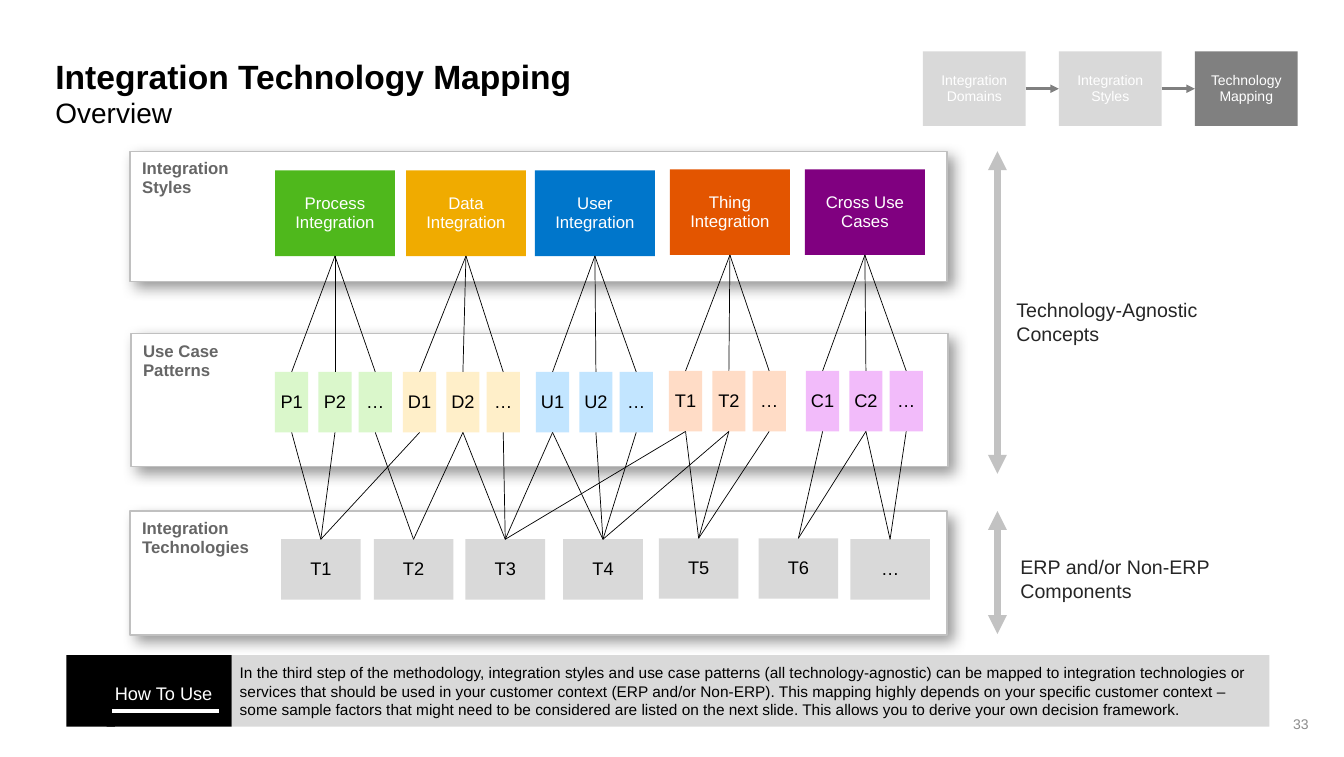
from pptx import Presentation as Deck
from pptx.dml.color import RGBColor as Color
from pptx.enum.shapes import MSO_CONNECTOR as Wire, MSO_SHAPE as Form
from pptx.enum.text import MSO_ANCHOR as Anchor, PP_ALIGN as Align
from pptx.oxml import parse_xml as to_xml
from pptx.oxml.ns import nsdecls, qn
from pptx.util import Pt
from copy import deepcopy as clone

PX = 9144
TOP, LEFT, BOTTOM, RIGHT = range(4)
MID = {"vertical_anchor": Anchor.MIDDLE}
HIGH = {"vertical_anchor": Anchor.TOP}
TIGHT = {"alignment": Align.CENTER, "line_spacing": 0.95}
FLUSH = {"alignment": Align.LEFT}
GREY, BLACK, WHITE = "D9D9D9", "000000", "FFFFFF"

PANELS = [
    (129, 507, 123, "Integration\nTechnologies"),
    (130, 331, 132, "Use Case\nPatterns"),
    (129, 150, 129, "Integration\nStyles"),
]
STYLES = [
    (273, 169, "Process\nIntegration", "4FB81C", 273, "P", "DAF7CB"),
    (403, 169, "Data\nIntegration", "F0AB00", 400, "D", "FFEFC9"),
    (531, 169, "User\nIntegration", "0076CB", 532, "U", "C2E5FF"),
    (665, 168, "Thing\nIntegration", "E35500", 664, "T", "FFDCC6"),
    (799, 168, "Cross Use Cases", "800080", 800, "C", "F2BBFA"),
]
TECHS = [
    (279, 535, "T1", [0, 1, 3]),
    (371, 535, "T2", [2, 4]),
    (462, 535, "T3", [4, 5, 6, 9]),
    (559, 535, "T4", [6, 7, 8, 10]),
    (654, 534, "T5", [9, 10, 11]),
    (753, 534, "T6", [12, 13]),
    (844, 535, "…", [13, 14]),
]
STEPS = [
    ("Integration Domains", GREY),
    ("Integration Styles", GREY),
    ("Technology Mapping", "808080"),
]
USAGE = (
    "In the third step of the methodology, integration styles and use case patterns "
    "(all technology-agnostic) can be mapped to integration technologies or services "
    "that should be used in your customer context (ERP and/or Non-ERP). This mapping "
    "highly depends on your specific customer context – some sample factors that might "
    "need to be considered are listed on the next slide. This allows you to derive your "
    "own decision framework."
)


def ink(code):
    return Color.from_string(code)


def apply(target, values):
    for name, value in values.items():
        setattr(target, name, value)


def fit(frame, pads, look):
    sides = ("margin_left", "margin_top", "margin_right", "margin_bottom")
    apply(frame, {side: pad * PX for side, pad in zip(sides, pads)})
    apply(frame, {"word_wrap": True, **look})


def write(para, text, size, color, look, bold=False):
    para.text = text
    apply(para, look)
    for run in para.runs:
        apply(run.font, {"name": "Arial", "size": Pt(size), "bold": bold})
        run.font.color.rgb = ink(color)
    for gap in para._p.findall(qn("a:br")):
        gap.append(clone(para.runs[0]._r.rPr))


def block(slide, area, fill):
    shape = slide.shapes.add_shape(Form.RECTANGLE, *(n * PX for n in area))
    shape.shadow.inherit = False
    shape.fill.solid()
    shape.fill.fore_color.rgb = ink(fill)
    shape.line.fill.background()
    return shape


def tile(slide, area, fill, text, size, color):
    shape = block(slide, area, fill)
    fit(shape.text_frame, (0, 0, 0, 0), MID)
    write(shape.text_frame.paragraphs[0], text, size, color, TIGHT)
    return shape


def panel(slide, left, top, high, text):
    shape = block(slide, (left, top, 811, high), WHITE)
    shape.line.color.rgb = ink("C0C0C0")
    shape.line.width = Pt(1)
    glow = to_xml(
        f'<a:outerShdw {nsdecls("a")} blurRad="{Pt(10)}" dist="{Pt(5)}" '
        'dir="2700000" algn="tl" rotWithShape="0"><a:srgbClr val="000000">'
        '<a:alpha val="40000"/></a:srgbClr></a:outerShdw>'
    )
    shape._element.spPr.find(qn("a:effectLst")).append(glow)
    fit(shape.text_frame, (12, 8, 0, 0), HIGH)
    look = {**TIGHT, "alignment": Align.LEFT}
    write(shape.text_frame.paragraphs[0], text, 12, "666666", look, True)


def label(slide, area, pads, look):
    frame = slide.shapes.add_textbox(*(n * PX for n in area)).text_frame
    fit(frame, pads, look)
    return frame


def line(slide, ends, color, width, tips=()):
    wire = slide.shapes.add_connector(Wire.STRAIGHT, *(n * PX for n in ends))
    wire.line.color.rgb = ink(color)
    wire.line.width = Pt(width)
    for tip in tips:
        wire.line._get_or_add_ln().append(
            to_xml(f'<a:{tip} {nsdecls("a")} type="triangle"/>')
        )
    wire._element.spPr.append(to_xml(f'<a:effectLst {nsdecls("a")}/>'))
    return wire


def link(slide, start, out, end, into, color=BLACK, width=0.5, tips=()):
    wire = line(slide, (0, 0, 0, 0), color, width, tips)
    wire.begin_connect(start, out)
    wire.end_connect(end, into)


def draw_map(slide):
    for item in PANELS:
        panel(slide, *item)
    cases = []
    for left, top, text, fill, start, mark, pale in STYLES:
        style = tile(slide, (left, top, 119, 85), fill, text, 12, WHITE)
        for shift, name in ((0, mark + "1"), (43, mark + "2"), (83, "…")):
            area = (start + shift, top + 200, 33, 60)
            case = tile(slide, area, pale, name, 13, BLACK)
            link(slide, style, BOTTOM, case, TOP)
            cases.append(case)
    for left, top, text, uses in TECHS:
        tech = tile(slide, (left, top, 79, 60), GREY, text, 13, BLACK)
        for use in uses:
            link(slide, tech, TOP, cases[use], BOTTOM)


def draw_steps(slide):
    last = None
    for i, (text, fill) in enumerate(STEPS):
        step = tile(slide, (916 + 135 * i, 51, 102, 74), fill, text, 10, WHITE)
        if last:
            link(slide, last, RIGHT, step, LEFT, "808080", 2, ("tailEnd",))
        last = step


def draw_scope(slide):
    for top, end in ((150, 470), (507, 629)):
        line(slide, (990, top, 990, end), "C2C2C2", 4.5, ("headEnd", "tailEnd"))
    for area, text in (
        ((999, 291, 243, 57), "Technology-Agnostic\nConcepts"),
        ((1003, 546, 285, 57), "ERP and/or Non-ERP\nComponents"),
    ):
        frame = label(slide, area, (10, 5, 10, 5), HIGH)
        write(frame.paragraphs[0], text, 14, "262626", FLUSH)


def draw_usage(slide):
    note = block(slide, (230, 650, 1030, 71), GREY)
    fit(note.text_frame, (8, 4, 8, 4), MID)
    write(note.text_frame.paragraphs[0], USAGE, 11, BLACK, FLUSH)
    block(slide, (66, 650, 48, 71), BLACK)
    head = block(slide, (106, 650, 124, 71), BLACK)
    fit(head.text_frame, (8, 27, 8, 4), HIGH)
    write(head.text_frame.paragraphs[0], "How To Use", 13, WHITE, FLUSH)
    line(slide, (217, 705, 111, 705), WHITE, 3)


def draw_title(slide):
    frame = label(slide, (55, 55, 800, 74), (0, 0, 0, 0), HIGH)
    write(frame.paragraphs[0], "Integration Technology Mapping", 24, BLACK, FLUSH, True)
    write(frame.add_paragraph(), "Overview", 20, BLACK, FLUSH)
    page = label(slide, (1001, 698, 311, 40), (13, 7, 13, 7), MID)
    write(page.paragraphs[0], "33", 10, "8C8C8C", {"alignment": Align.RIGHT})


def main():
    deck = Deck()
    apply(deck, {"slide_width": 1334 * PX, "slide_height": 751 * PX})
    slide = deck.slides.add_slide(deck.slide_layouts[6])
    draw_title(slide)
    draw_map(slide)
    draw_usage(slide)
    draw_steps(slide)
    draw_scope(slide)
    deck.save("out.pptx")


if __name__ == "__main__":
    main()
